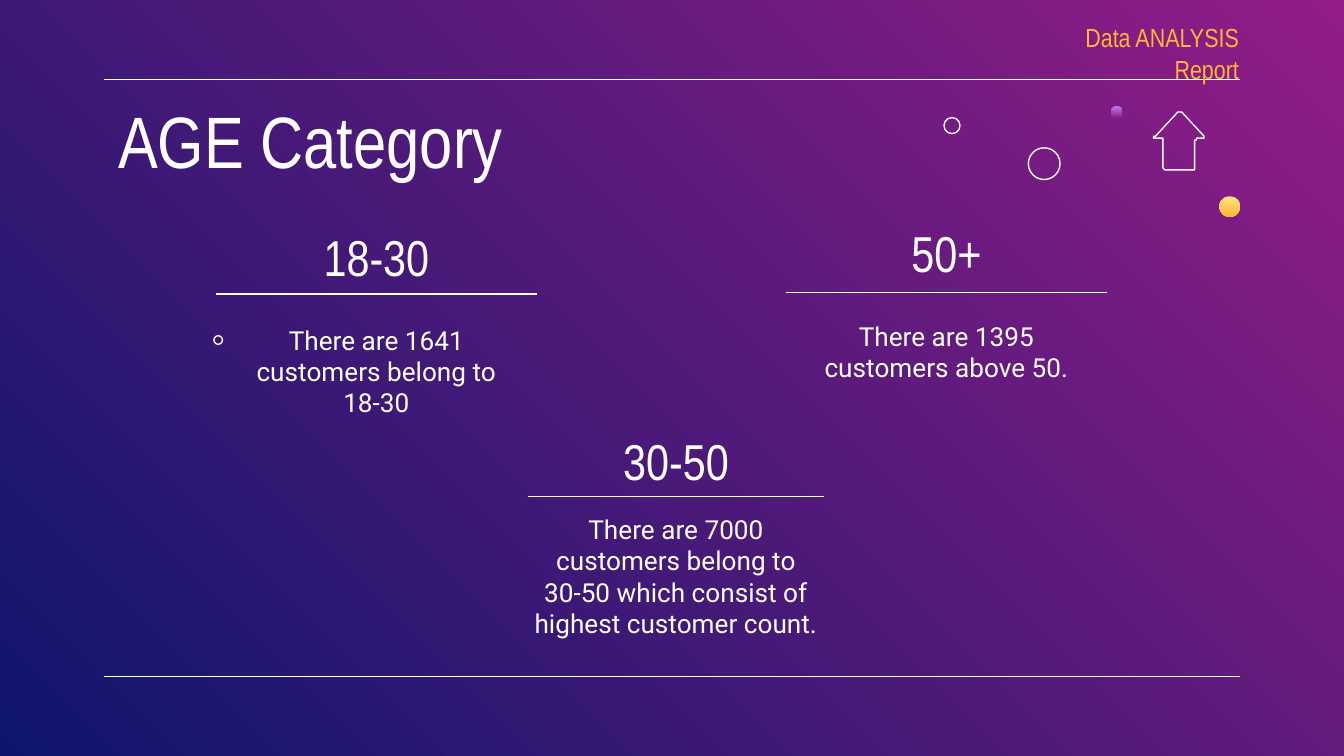
from math import dist

from lxml import etree
from pptx import Presentation
from pptx.dml.color import RGBColor
from pptx.enum.shapes import MSO_CONNECTOR, MSO_SHAPE
from pptx.enum.text import MSO_ANCHOR, PP_ALIGN
from pptx.oxml.ns import qn
from pptx.util import Pt

LEFT, CENTER, RIGHT = PP_ALIGN.LEFT, PP_ALIGN.CENTER, PP_ALIGN.RIGHT
TOP, MIDDLE = MSO_ANCHOR.TOP, MSO_ANCHOR.MIDDLE
OVAL, STRAIGHT = MSO_SHAPE.OVAL, MSO_CONNECTOR.STRAIGHT

WHITE, AMBER = "FFFFFF", "FFB632"
HEADING_FONT, BODY_FONT = "Arial Narrow", "Roboto"
INSET = 7.2
GROUP_WIDTH = 175.7

# Content: heading, paragraphs, left, heading top, rule top and width, body top and height
AGE_GROUPS = [
    ("50+", ["There are 1395 customers above 50."],
     419.2, 111.6, 156.8, 172, 164.2, 47.5),
    ("18-30", ["There are 1641 customers belong to", "18-30"],
     113.8, 113.8, 157.5, 172, 166.3, 63.4),
    ("30-50", ["There are 7000 customers belong to",
               "30-50 which consist of highest customer count."],
     274.3, 223.2, 265.9, 159, 267.8, 80.6),
]
FRAME_RULES = [42.5, 362.6]
# Center x, center y, diameter
RINGS = [(559.4, 87.7, 17), (510, 67.3, 8.6), (116.9, 182.2, 4.6)]
# Center x, center y, diameter, gradient start and end
DOTS = [(598.2, 59.9, 6.2, "BE7AF3", "921D87"),
        (658.8, 110.7, 11, "FFE485", AMBER)]
ARROW_CORNERS = [(631.8, 59.2), (646.2, 74.2), (640.2, 74.2), (640.2, 91.4),
                 (623.4, 91.4), (623.4, 74.2), (617.4, 74.2)]
CORNER_RADIUS = 1.8


def color(hex_code):
    return RGBColor.from_string(hex_code)


def outline(shape):
    shape.line.color.rgb = color(WHITE)
    shape.line.width = Pt(0.75)


def gradient(fill, start, end, angle):
    fill.gradient()
    fill.gradient_angle = angle
    for stop, hex_code in zip(fill.gradient_stops, (start, end)):
        stop.color.rgb = color(hex_code)


def add_rule(left, top, width):
    rule = slide.shapes.add_connector(
        STRAIGHT, Pt(left), Pt(top), Pt(left + width), Pt(top))
    outline(rule)
    etree.SubElement(rule._element.spPr, qn("a:effectLst"))


def add_text(lines, left, top, width, height, size, font=HEADING_FONT,
             align=CENTER, anchor=TOP, hex_code=WHITE, right_inset=INSET):
    box = slide.shapes.add_textbox(Pt(left), Pt(top), Pt(width), Pt(height))
    frame = box.text_frame
    frame.word_wrap = True
    frame.vertical_anchor = anchor
    frame.margin_left = frame.margin_top = frame.margin_bottom = Pt(INSET)
    frame.margin_right = Pt(right_inset)
    frame.text = "\n".join(lines)
    for paragraph in frame.paragraphs:
        paragraph.alignment = align
        paragraph.font.name = font
        paragraph.font.size = Pt(size)
        paragraph.font.color.rgb = color(hex_code)


def add_circle(x, y, diameter):
    circle = slide.shapes.add_shape(
        OVAL, Pt(x - diameter / 2), Pt(y - diameter / 2), Pt(diameter), Pt(diameter))
    circle.shadow.inherit = False
    return circle


def rounded(corners, radius, steps=6):
    """Replace each corner by points on a quadratic curve."""
    points = []
    for i, corner in enumerate(corners):
        before, after = corners[i - 1], corners[(i + 1) % len(corners)]
        start, end = [
            [c + (n - c) * radius / dist(corner, neighbor)
             for c, n in zip(corner, neighbor)]
            for neighbor in (before, after)]
        for step in range(steps + 1):
            t = step / steps
            points.append(tuple(
                (1 - t) ** 2 * s + 2 * t * (1 - t) * c + t ** 2 * e
                for s, c, e in zip(start, corner, end)))
    return points


prs = Presentation()
prs.slide_width, prs.slide_height = Pt(720), Pt(405)
slide = prs.slides.add_slide(prs.slide_layouts[6])
gradient(slide.background.fill, "921D87", "0E166C", 225)

# Frame, title and report name
for rule_top in FRAME_RULES:
    add_rule(55.7, rule_top, 608.6)
add_text(["AGE Category"], 56.2, 43.9, 607.7, 47.5, 39, align=LEFT)
add_text(["Data ANALYSIS Report"], 555.8, 16.6, 108, 23.8, 14,
         align=RIGHT, anchor=MIDDLE, hex_code=AMBER, right_inset=0)

# Age groups
for heading, lines, left, top, rule_top, rule_width, body_top, body_height in AGE_GROUPS:
    add_text([heading], left, top, GROUP_WIDTH, 34.6, 27)
    add_rule(left + (GROUP_WIDTH - rule_width) / 2, rule_top, rule_width)
    add_text(lines, left, body_top, GROUP_WIDTH, body_height, 14, BODY_FONT)

# Decorative rings, dots and arrow
for ring in RINGS:
    circle = add_circle(*ring)
    circle.fill.background()
    outline(circle)
for x, y, diameter, start, end in DOTS:
    dot = add_circle(x, y, diameter)
    gradient(dot.fill, start, end, 270)
    dot.line.fill.background()

arrow_points = rounded(ARROW_CORNERS, CORNER_RADIUS)
builder = slide.shapes.build_freeform(*arrow_points[0], scale=Pt(1))
builder.add_line_segments(arrow_points[1:], close=True)
arrow = builder.convert_to_shape()
arrow.shadow.inherit = False
arrow.fill.background()
outline(arrow)

prs.save("out.pptx")
